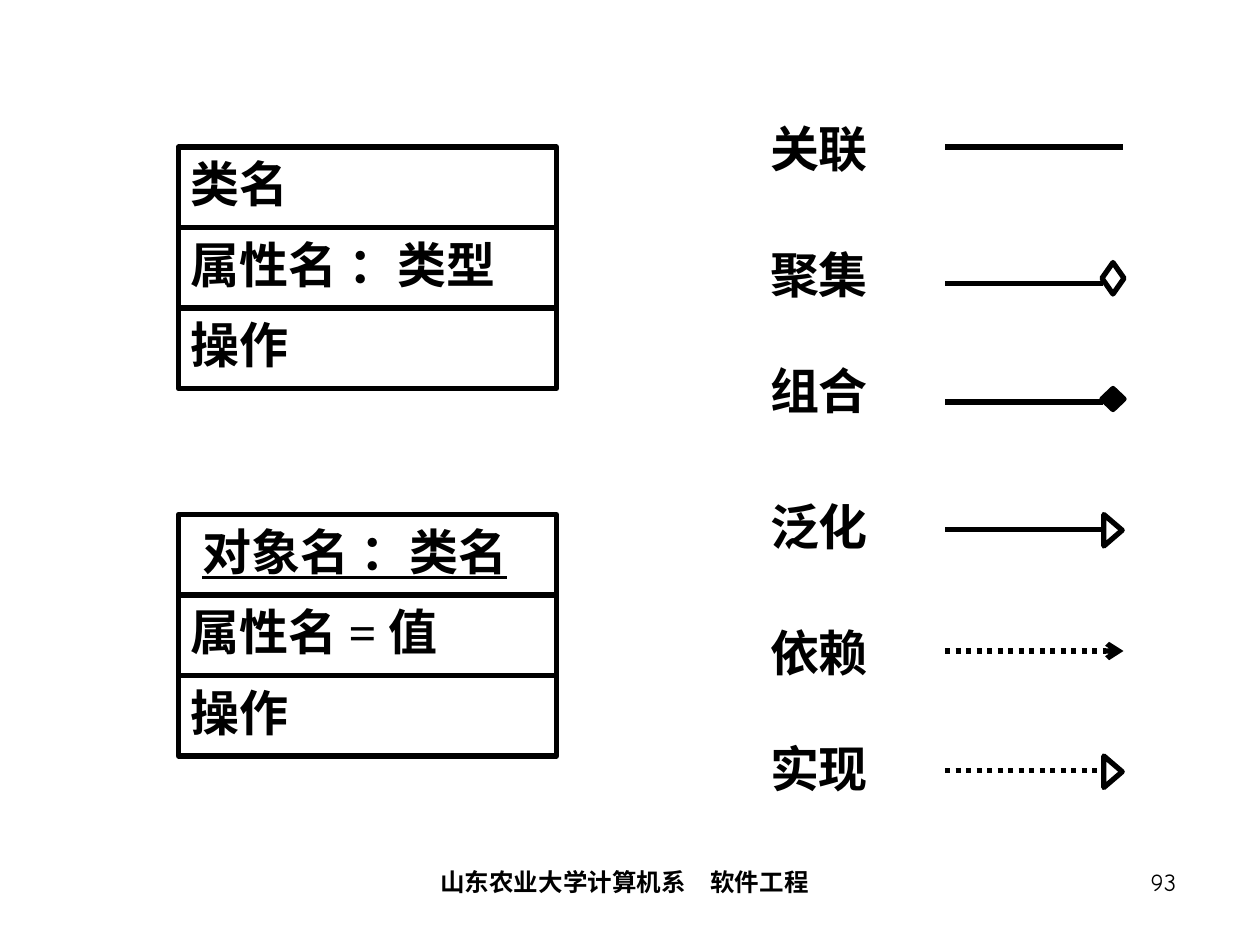
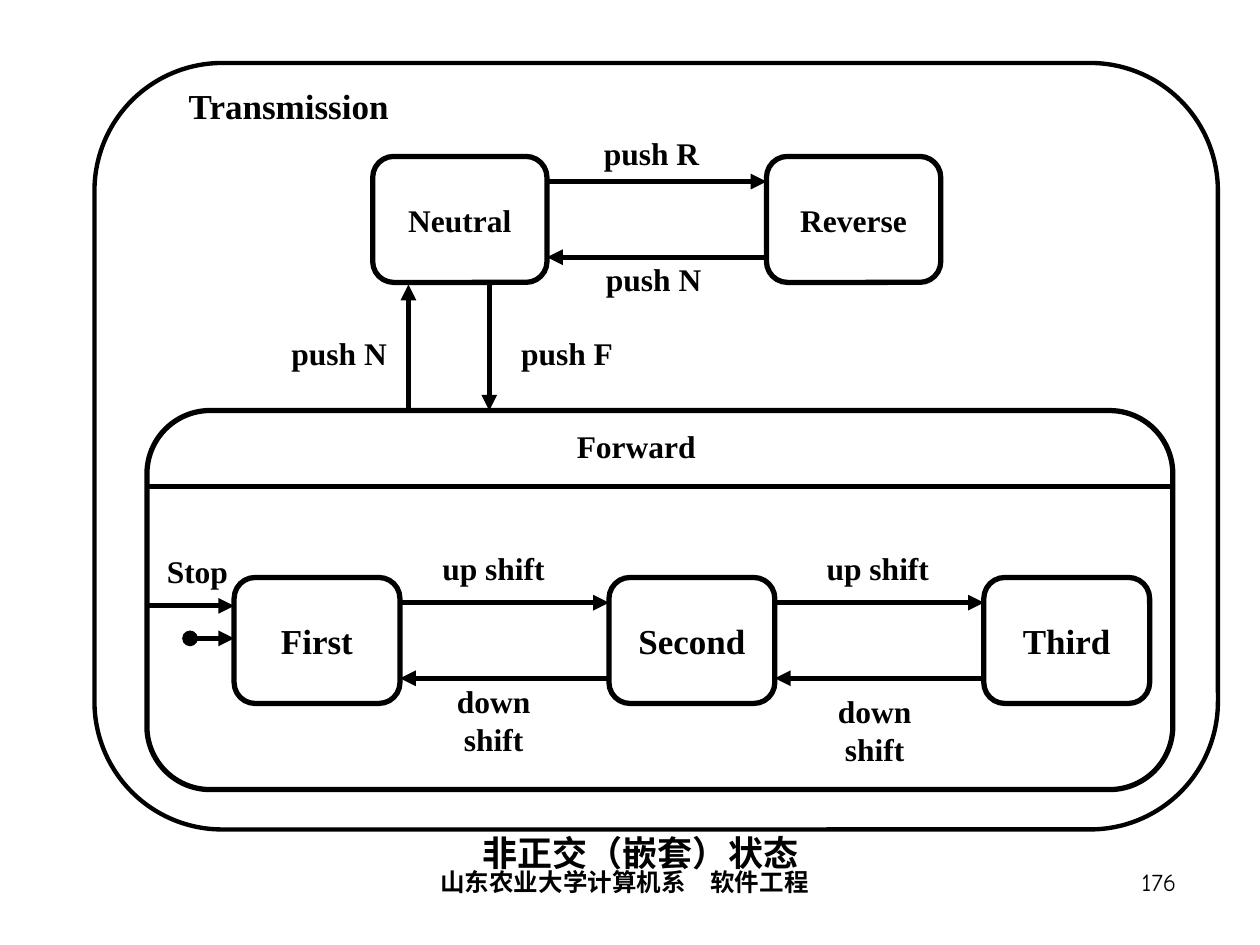
from lxml.etree import SubElement
from pptx import Presentation
from pptx.dml.color import RGBColor
from pptx.enum.dml import MSO_LINE
from pptx.enum.shapes import MSO_CONNECTOR, MSO_SHAPE
from pptx.enum.text import MSO_ANCHOR, PP_ALIGN
from pptx.oxml.ns import qn
from pptx.util import Inches, Pt

COLORS = {"ink": "000000", "paper": "FFFFFF"}
BODY_FONT = "Times New Roman"
FOOTER_FONT = "Comic Neue"
COLUMNS, ROWS = 120, 90  # twelve grid cells to the inch
FOOTER_TEXT = "山东农业大学计算机系　软件工程"


def grid(*cells):
    return [Inches(cell / 12) for cell in cells]


def color(name):
    return RGBColor.from_string(COLORS[name])


def write(shape, text, size=18, font=BODY_FONT, bold=True, underline=None,
          align=PP_ALIGN.CENTER, anchor=MSO_ANCHOR.MIDDLE, spacing=None,
          indent=0, wrap=True):
    frame = shape.text_frame
    frame.word_wrap = wrap
    frame.vertical_anchor = anchor
    frame.margin_left = Inches(0.1 + indent)
    para = frame.paragraphs[0]
    para.alignment = align
    para.line_spacing = spacing
    span = para.add_run()
    span.text = text
    span.font.name = font
    span.font.size = Pt(size)
    span.font.bold = bold
    span.font.underline = underline
    span.font.color.rgb = color("ink")


def add_text(page, text, cells, **style):
    box = page.shapes.add_textbox(*grid(*cells))
    write(box, text, **style)


def add_box(page, preset, cells, fill=None, width=3):
    box = page.shapes.add_shape(preset, *grid(*cells))
    box.shadow.inherit = False
    if fill:
        box.fill.solid()
        box.fill.fore_color.rgb = color(fill)
    else:
        box.fill.background()
    box.line.color.rgb = color("ink")
    box.line.width = Pt(width)
    return box


def add_line(page, start, end, head=None, tail=None, dotted=False):
    line = page.shapes.add_connector(
        MSO_CONNECTOR.STRAIGHT, *grid(*start), *grid(*end))
    line.line.color.rgb = color("ink")
    line.line.width = Pt(3)
    if dotted:
        line.line.dash_style = MSO_LINE.ROUND_DOT
    outline = line.line._get_or_add_ln()
    for tag, kind in (("a:headEnd", head), ("a:tailEnd", tail)):
        if kind:
            SubElement(outline, qn(tag), type=kind)
    SubElement(line._element.spPr, qn("a:effectLst"))


def add_footer(page, number):
    style = {"size": 14, "font": FOOTER_FONT, "anchor": MSO_ANCHOR.TOP}
    add_text(page, FOOTER_TEXT, (24, 82, 71, 6), **style)
    add_text(page, number, (88.2, 82, 25, 6), bold=False,
             align=PP_ALIGN.RIGHT, **style)


def add_class_box(page, top, compartments):
    """Stack one compartment for each (text, format) pair."""
    height = 23 / 3
    for index, (text, style) in enumerate(compartments):
        cells = (17, top + index * height, 36, height)
        box = add_box(page, MSO_SHAPE.RECTANGLE, cells, "paper")
        write(box, text, size=28, align=PP_ALIGN.LEFT, spacing=0.88, **style)


def add_marker(page, kind, row):
    """Centre the end symbol of a relation on the given row."""
    preset, width, height, fill, turn = {
        "aggregation": (MSO_SHAPE.DIAMOND, 2.1, 3, "paper", 0),
        "composition": (MSO_SHAPE.DIAMOND, 2.1, 2, "ink", 0),
        "triangle": (MSO_SHAPE.ISOSCELES_TRIANGLE, 3, 1.75, "paper", 90),
    }[kind]
    cells = (106 - width / 2, row - height / 2, width, height)
    add_box(page, preset, cells, fill).rotation = turn


def add_relation(page, name, label_top, line_row, marker=None,
                 marker_row=None, **line_style):
    add_text(page, name, (66, label_top, 24, 7), size=28, spacing=0.88)
    add_line(page, (90, line_row), (105 if marker else 107, line_row),
             **line_style)
    if marker:
        add_marker(page, marker, marker_row)


def add_state(page, name, cells, size):
    write(add_box(page, MSO_SHAPE.ROUNDED_RECTANGLE, cells), name, size=size)


def add_state_row(page, names, left, top, width, step, size):
    """Draw equally spaced states with arrows to and from each neighbour."""
    height = 12
    for index, name in enumerate(names):
        x = left + index * step
        add_state(page, name, (x, top, width, height), size)
        if index:
            near, far = x - step + width, x
            ahead, back = top + 0.2 * height, top + 0.8 * height
            add_line(page, (near, ahead), (far, ahead), tail="triangle")
            add_line(page, (far, back), (near, back), tail="triangle")


def build_notation(page):
    add_class_box(page, 14, [("类名", {}), ("属性名 ：类型", {}), ("操作", {})])
    add_class_box(page, 49, [
        ("对象名 ：类名", {"underline": True, "indent": 0.09}),
        ("属性名 = 值", {}),
        ("操作", {}),
    ])
    add_relation(page, "关联", 11, 14)
    add_relation(page, "聚集", 23, 27, "aggregation", 26.5)
    add_relation(page, "组合", 34, 38.3, "composition", 38)
    add_relation(page, "泛化", 47, 50.4, "triangle", 50.5)
    add_relation(page, "依赖", 59, 62, tail="arrow", dotted=True)
    add_relation(page, "实现", 70, 73.4, "triangle", 73.5, dotted=True)


def build_transmission(page):
    rounded = MSO_SHAPE.ROUNDED_RECTANGLE
    add_box(page, rounded, (9, 6, 107, 73), width=2.5)
    add_box(page, rounded, (14, 39.1, 97.7, 36.1))
    add_line(page, (14, 46.3), (111.7, 46.3))

    add_state_row(page, ["Neutral", "Reverse"], 35.5, 14.9, 16.6, 37.5, 18)
    add_state_row(page, ["First", "Second", "Third"],
                  22.3, 55, 15.8, 35.7, 20)

    add_line(page, (38.9, 39.1), (38.9, 27.1), tail="triangle")
    add_line(page, (46.6, 27.1), (46.6, 39.1), tail="triangle")
    add_line(page, (14, 57.7), (22.3, 57.7), tail="triangle")
    add_line(page, (18.1, 60.8), (22.3, 60.8), head="oval", tail="triangle")

    for text, cells in (
        ("push R", (54.8, 11, 14.5, 7.2)),
        ("push N", (55, 23, 14.5, 7.2)),
        ("push N", (26, 30, 12.6, 7.2)),
        ("push F", (47, 30, 14, 7.2)),
        ("Forward", (51, 40, 19.2, 5)),
        ("Stop", (14.4, 51.7, 8.8, 5.3)),
        ("up shift", (40, 51.1, 14, 5.9)),
        ("up shift", (76.6, 51.2, 14, 5.8)),
        ("down shift", (40, 65, 14, 7.2)),
        ("down shift", (76, 65, 14.6, 9)),
    ):
        add_text(page, text, cells)
    add_text(page, "Transmission", (16, 6, 23, 8), size=20, wrap=False)
    add_text(page, "非正交（嵌套）状态", (39, 77.6, 44, 7.2), size=20)


def main():
    deck = Presentation()
    deck.slide_width, deck.slide_height = grid(COLUMNS, ROWS)
    blank = deck.slide_layouts[6]
    for build, number in ((build_notation, "93"), (build_transmission, "176")):
        page = deck.slides.add_slide(blank)
        build(page)
        add_footer(page, number)
    deck.save("out.pptx")


if __name__ == "__main__":
    main()
